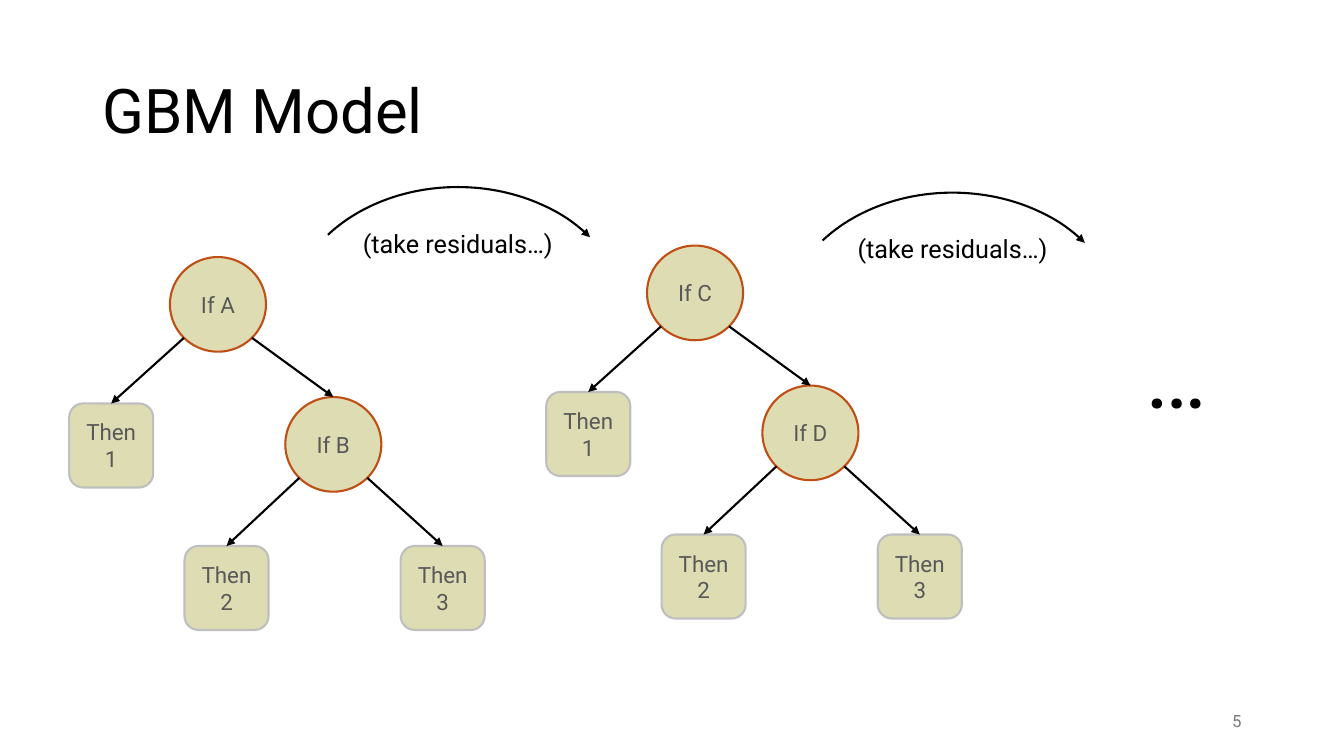
import pptx
import pptx.util
import pptx.dml.color
import pptx.enum.shapes
import pptx.enum.text
import pptx.oxml
import pptx.oxml.ns
import math
from dataclasses import dataclass

Pt = pptx.util.Pt
Kind = pptx.enum.shapes.MSO_SHAPE
Align = pptx.enum.text.PP_ALIGN
Anchor = pptx.enum.text.MSO_ANCHOR


@dataclass(frozen=True)
class Theme:
    font: str = "Roboto"
    ink: str = "000000"
    soft: str = "595959"
    grey: str = "797979"
    fill: str = "DEDCB2"
    rust: str = "C04F15"
    edge: str = "BFBFBF"
    stroke: float = 1.5
    title: int = 44
    dots: int = 66
    label: int = 18
    node: int = 16
    page: int = 12


THEME = Theme()


def color(code):
    return pptx.dml.color.RGBColor.from_string(code)


def write(shape, words, size, code, align=Align.LEFT, anchor=Anchor.MIDDLE):
    frame = shape.text_frame
    frame.word_wrap = True
    frame.vertical_anchor = anchor
    para = frame.paragraphs[0]
    para.alignment = align
    run = para.add_run()
    run.text = words
    run.font.name = THEME.font
    run.font.size = Pt(size)
    run.font.color.rgb = color(code)
    return frame


def label(slide, box, words, size, code, **look):
    shape = slide.shapes.add_textbox(*map(Pt, box))
    return write(shape, words, size, code, **look)


def stroke(shape, code):
    shape.line.color.rgb = color(code)
    shape.line.width = Pt(THEME.stroke)


def point(shape):
    # Arrowhead at the end of a line or arc
    line = shape.element.spPr.find(pptx.oxml.ns.qn("a:ln"))
    head = pptx.oxml.parse_xml(
        f'<a:tailEnd {pptx.oxml.ns.nsdecls("a")} type="triangle"/>')
    line.append(head)


def node(shapes, kind, box, words, edge):
    shape = shapes.add_shape(kind, *map(Pt, box))
    shape.shadow.inherit = False
    shape.fill.solid()
    shape.fill.fore_color.rgb = color(THEME.fill)
    stroke(shape, edge)
    write(shape, words, THEME.node, THEME.soft, Align.CENTER)
    return shape


def branch(shapes, start, child, side):
    # From the lower left (-1) or right (1) of a circle to the child's top
    reach = math.sqrt(0.5) / 2
    x = start.left + int(start.width * (0.5 + side * reach))
    y = start.top + int(start.height * (0.5 + reach))
    line = shapes.add_connector(
        pptx.enum.shapes.MSO_CONNECTOR.STRAIGHT, x, y, x, y)
    line.end_connect(child, 0)
    stroke(line, THEME.ink)
    point(line)
    line.element.spPr.append(pptx.oxml.parse_xml(
        f'<a:effectLst {pptx.oxml.ns.nsdecls("a")}/>'))


def tree(slide, left, top, first, second):
    shapes = slide.shapes.add_group_shape().shapes

    def test(x, y, words):
        return node(shapes, Kind.OVAL, (left + x, top + y, 68.6, 67.6),
                    words, THEME.rust)

    def leaf(x, y, words):
        return node(shapes, Kind.ROUNDED_RECTANGLE,
                    (left + x, top + y, 60, 60), words, THEME.edge)

    # Nodes
    root = test(72, 0, first)
    one = leaf(0, 104.6, "Then 1")
    split = test(154.4, 100, second)
    two = leaf(82.4, 206.4, "Then 2")
    three = leaf(236.8, 206.4, "Then 3")

    # Branches
    for start, child, side in ((root, one, -1), (root, split, 1),
                               (split, two, -1), (split, three, 1)):
        branch(shapes, start, child, side)


def step(slide, left, top):
    # Curved arrow with its caption beneath
    width = 242
    arc = slide.shapes.add_shape(
        Kind.ARC, Pt(left), Pt(top), Pt(width), Pt(190.8))
    arc.adjustments[0] = 128.055
    arc.adjustments[1] = 196.663
    arc.shadow.inherit = False
    arc.fill.background()
    stroke(arc, THEME.ink)
    point(arc)
    label(slide, (left, top + 25, width, 30), "(take residuals…)",
          THEME.label, THEME.ink, align=Align.CENTER)


def heading(slide, box):
    frame = label(slide, box, "GBM Model", THEME.title, THEME.ink)
    frame.paragraphs[0].line_spacing = 0.9


def main():
    deck = pptx.Presentation()
    deck.slide_width, deck.slide_height = Pt(960), Pt(540)
    slide = deck.slides.add_slide(deck.slide_layouts[6])

    heading(slide, (66, 28.75, 828, 104.4))
    label(slide, (678, 500.5, 216, 28.75), "5", THEME.page, THEME.grey,
          align=Align.RIGHT)

    # Boosting rounds
    tree(slide, 49.4, 183.6, "If A", "If B")
    tree(slide, 390.2, 175.4, "If C", "If D")
    step(slide, 206, 133.6)
    step(slide, 559.4, 137.6)

    # More rounds to come
    dots = label(slide, (811.4, 222.5, 69, 87), "…", THEME.dots, THEME.ink,
                 anchor=Anchor.TOP)
    dots.word_wrap = False

    deck.save("out.pptx")


if __name__ == "__main__":
    main()
